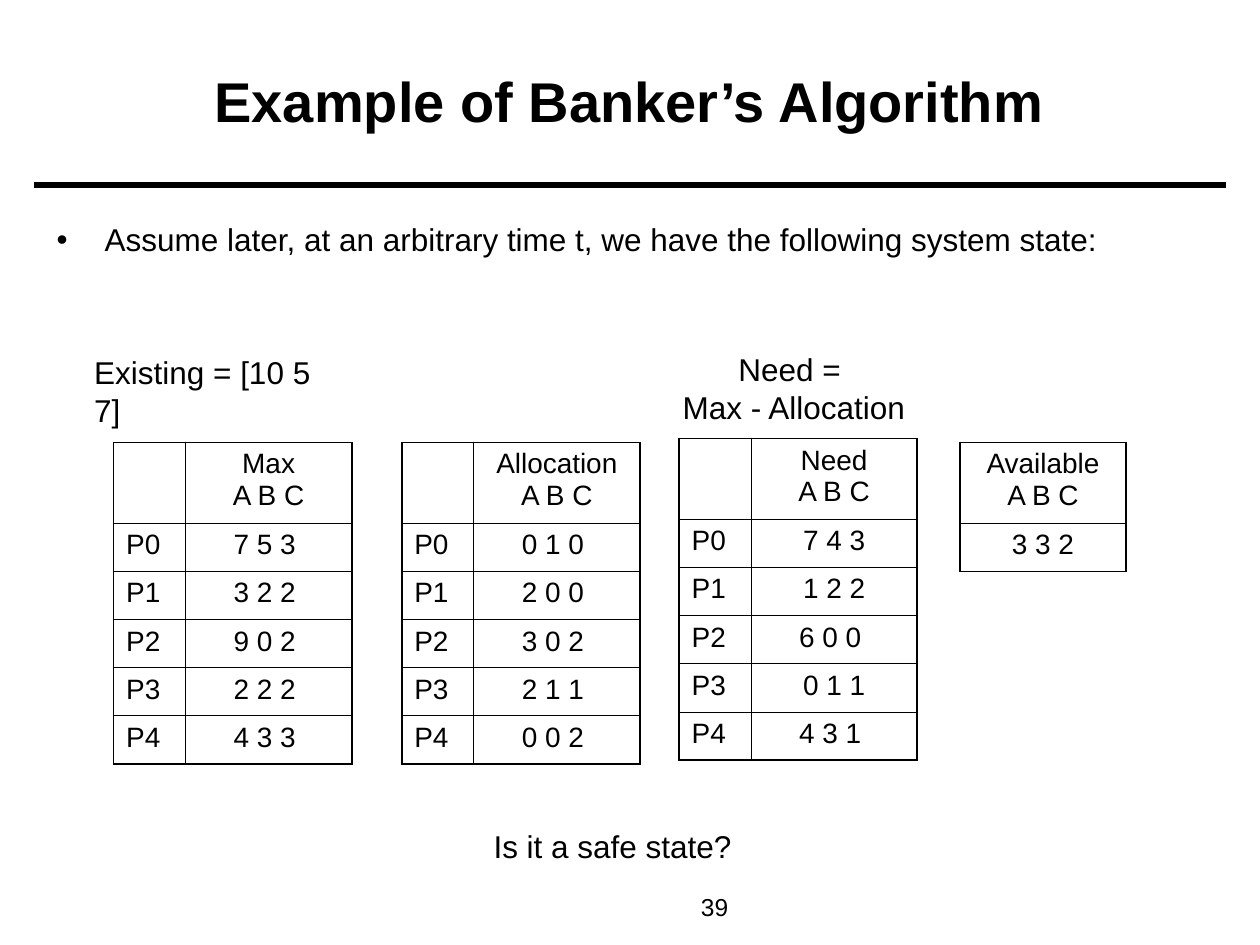
"""Builds the slide on the Banker's algorithm system state."""
from dataclasses import dataclass

from lxml import etree
from pptx import Presentation
from pptx import util as u
from pptx.dml import color
from pptx.enum import shapes, text
from pptx.oxml import ns


@dataclass(frozen=True)
class Theme:
    font: str = "Arial"
    ink: str = "000000"
    title: int = 32
    body: int = 18
    cell: int = 16
    page: int = 14
    rule: float = 3
    outer_border: float = 1.08
    inner_border: float = 0.45


@dataclass(frozen=True)
class Label:
    lines: tuple[str, ...]
    left: float
    top: float
    width: float
    height: float
    size: int
    align: text.PP_ALIGN = text.PP_ALIGN.LEFT
    bold: bool = False
    wrap: bool = False
    middle: bool = False
    bullet: bool = False


@dataclass(frozen=True)
class Matrix:
    name: str
    left: float
    top: float
    values: tuple[str, ...]
    has_processes: bool = True


THEME = Theme()
LEFT, CENTER, RIGHT = text.PP_ALIGN.LEFT, text.PP_ALIGN.CENTER, text.PP_ALIGN.RIGHT
PROCESS_WIDTH, VALUE_WIDTH = 1.45, 3.35
HEADER_HEIGHT, ROW_HEIGHT = 1.63, 0.97
BULLET_INDENT = 0.97

LABELS = (
    Label(("39",), 12.29, 17.86, 2.64, 0.86, THEME.page, RIGHT, wrap=True),
    Label(("Example of Banker’s Algorithm",), 0.89, 0.43, 23.6, 3.18, THEME.title,
          CENTER, bold=True, wrap=True, middle=True),
    Label(("Assume later, at an arbitrary time t, we have the following system state:",),
          0.89, 4.32, 23.6, 2.21, THEME.body, wrap=True, bullet=True),
    Label(("Existing = [10 5 7]",), 1.65, 6.99, 5.56, 1.02, THEME.body),
    Label(("Is it a safe state?",), 9.7, 16.54, 5.31, 1.02, THEME.body),
    Label(("Need = ", "Max - Allocation"), 13.49, 6.93, 5.03, 1.78, THEME.body, CENTER),
)
MATRICES = (
    Matrix("Max", 2.29, 8.92, ("7 5 3 ", "3 2 2 ", "9 0 2 ", "2 2 2 ", "4 3 3 ")),
    Matrix("Allocation", 8.1, 8.92, ("0 1 0 ", "2 0 0 ", "3 0 2 ", "2 1 1 ", "0 0 2 ")),
    Matrix("Need", 13.69, 8.84, ("7 4 3", "1 2 2", "6 0 0 ", "0 1 1", "4 3 1 ")),
    Matrix("Available", 19.35, 8.92, ("3 3 2",), has_processes=False),
)


def add_run(paragraph, content: str, size: int, bold: bool = False) -> None:
    run = paragraph.add_run()
    run.text = content
    run.font.name = THEME.font
    run.font.size = u.Pt(size)
    run.font.bold = bold
    run.font.color.rgb = color.RGBColor.from_string(THEME.ink)


def add_bullet(paragraph) -> None:
    properties = paragraph._p.get_or_add_pPr()
    properties.set("marL", str(u.Cm(BULLET_INDENT)))
    properties.set("indent", str(-u.Cm(BULLET_INDENT)))
    etree.SubElement(properties, ns.qn("a:buFont"), typeface=THEME.font)
    etree.SubElement(properties, ns.qn("a:buChar"), char="•")


def add_label(slide, label: Label) -> None:
    shape = slide.shapes.add_textbox(
        u.Cm(label.left), u.Cm(label.top), u.Cm(label.width), u.Cm(label.height))
    frame = shape.text_frame
    frame.word_wrap = label.wrap
    if not label.wrap:
        frame.auto_size = text.MSO_AUTO_SIZE.SHAPE_TO_FIT_TEXT
    if label.middle:
        frame.vertical_anchor = text.MSO_ANCHOR.MIDDLE
    for index, line in enumerate(label.lines):
        paragraph = frame.add_paragraph() if index else frame.paragraphs[0]
        paragraph.alignment = label.align
        if label.bullet:
            add_bullet(paragraph)
        add_run(paragraph, line, label.size, label.bold)


def set_borders(cell, outer_sides: dict[str, bool]) -> None:
    properties = cell._tc.get_or_add_tcPr()
    for side, is_outer in outer_sides.items():
        width = THEME.outer_border if is_outer else THEME.inner_border
        line = etree.SubElement(properties, ns.qn(f"a:ln{side}"), w=str(u.Pt(width)))
        fill = etree.SubElement(line, ns.qn("a:solidFill"))
        etree.SubElement(fill, ns.qn("a:srgbClr"), val=THEME.ink)


def fill_cell(cell, lines: tuple[str, ...], align: text.PP_ALIGN) -> None:
    paragraph = cell.text_frame.paragraphs[0]
    paragraph.alignment = align
    for index, line in enumerate(lines):
        if index:
            paragraph.add_line_break()
        add_run(paragraph, line, THEME.cell)


def add_matrix(slide, matrix: Matrix) -> None:
    widths = [PROCESS_WIDTH, VALUE_WIDTH] if matrix.has_processes else [VALUE_WIDTH]
    heights = [HEADER_HEIGHT] + [ROW_HEIGHT] * len(matrix.values)
    table = slide.shapes.add_table(
        len(heights), len(widths), u.Cm(matrix.left), u.Cm(matrix.top),
        u.Cm(sum(widths)), u.Cm(sum(heights))).table
    table.first_row = table.horz_banding = False
    for column, width in zip(table.columns, widths):
        column.width = u.Cm(width)
    for row, height in zip(table.rows, heights):
        row.height = u.Cm(height)

    last_row, last_column = len(heights) - 1, len(widths) - 1
    for row in range(len(heights)):
        for column in range(len(widths)):
            cell = table.cell(row, column)
            set_borders(cell, {"L": column == 0, "R": column == last_column,
                               "T": row == 0, "B": row == last_row})
            cell.fill.background()
        value_lines = (matrix.values[row - 1],) if row else (matrix.name, "A B C")
        fill_cell(table.cell(row, last_column), value_lines, CENTER)
        if matrix.has_processes and row:
            fill_cell(table.cell(row, 0), (f"P{row - 1}",), LEFT)


def add_title_rule(slide) -> None:
    rule = slide.shapes.add_connector(
        shapes.MSO_CONNECTOR.STRAIGHT, u.Cm(0.69), u.Cm(3.73), u.Cm(24.71), u.Cm(3.73))
    rule.line.width = u.Pt(THEME.rule)
    rule.line.color.rgb = color.RGBColor.from_string(THEME.ink)
    etree.SubElement(rule._element.spPr, ns.qn("a:effectLst"))


def main() -> None:
    presentation = Presentation()
    presentation.slide_width, presentation.slide_height = u.Cm(25.4), u.Cm(19.05)
    slide = presentation.slides.add_slide(presentation.slide_layouts[6])
    add_title_rule(slide)
    for label in LABELS:
        add_label(slide, label)
    for matrix in MATRICES:
        add_matrix(slide, matrix)
    presentation.save("out.pptx")


if __name__ == "__main__":
    main()
